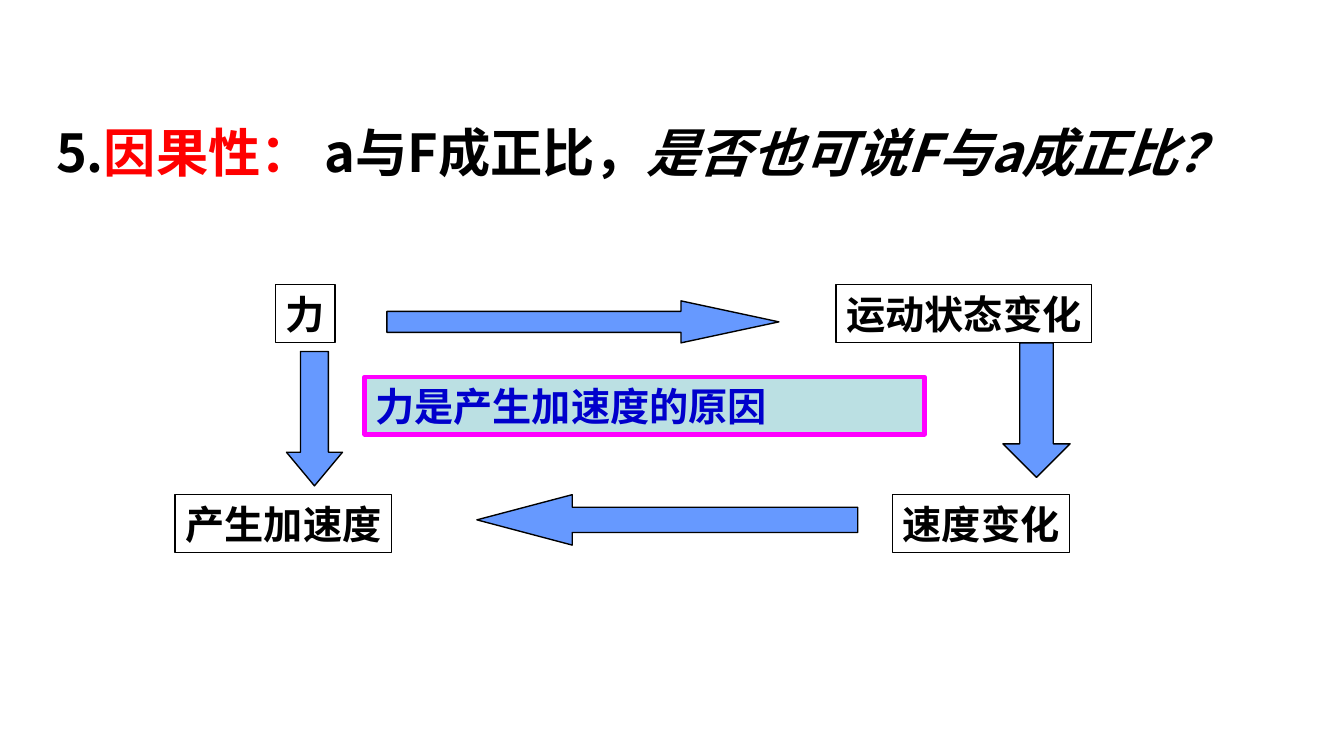
"""Build a slide on the causality between force and acceleration."""
from pptx import Presentation
from pptx.dml.color import RGBColor
from pptx.enum.shapes import MSO_SHAPE
from pptx.enum.text import MSO_ANCHOR, MSO_AUTO_SIZE, PP_ALIGN
from pptx.util import Pt

RECTANGLE = MSO_SHAPE.RECTANGLE
RIGHT, LEFT, DOWN = MSO_SHAPE.RIGHT_ARROW, MSO_SHAPE.LEFT_ARROW, MSO_SHAPE.DOWN_ARROW
TOP, ALIGN_LEFT, GROW = MSO_ANCHOR.TOP, PP_ALIGN.LEFT, MSO_AUTO_SIZE.SHAPE_TO_FIT_TEXT

BLACK = RGBColor(0x00, 0x00, 0x00)
RED = RGBColor(0xFF, 0x00, 0x00)
ARROW_BLUE = RGBColor(0x66, 0x99, 0xFF)
TEXT_BLUE = RGBColor(0x00, 0x00, 0xCC)
PALE_TEAL = RGBColor(0xBB, 0xE0, 0xE3)
MAGENTA = RGBColor(0xFF, 0x00, 0xFF)

SERIF = "Times New Roman"
SANS = "Noto Sans CJK SC"
BOX_HEIGHT = 31
TOP_ROW, BOTTOM_ROW = 152.5, 265

STEPS = [
    ("力", 147.5, TOP_ROW, 32),
    ("运动状态变化", 447.8, TOP_ROW, 137),
    ("速度变化", 478, BOTTOM_ROW, 95),
    ("产生加速度", 93.8, BOTTOM_ROW, 116),
]
ARROWS = [
    (RIGHT, 207.3, 161.2, 210, 22.5, 2.33),
    (DOWN, 537.3, 183.8, 36, 72, 0.5),
    (LEFT, 255.5, 265, 204, 27, 1.89),
    (DOWN, 153.5, 188.3, 30, 72, 0.6),
]
QUESTION = [
    ("5.", BLACK, False),
    ("因果性： ", RED, False),
    ("a与F成正比，", BLACK, False),
    ("是否也可说F与a成正比？", BLACK, True),
]


def add_shape(page, kind, left, top, width, height, fill, line, weight):
    """Add an outlined preset shape, filled unless fill is None."""
    shape = page.shapes.add_shape(kind, Pt(left), Pt(top), Pt(width), Pt(height))
    shape.shadow.inherit = False
    if fill is None:
        shape.fill.background()
    else:
        shape.fill.solid()
        shape.fill.fore_color.rgb = fill
    shape.line.color.rgb = line
    shape.line.width = Pt(weight)
    return shape


def prepare_para(box, font, size, wrap, right_margin):
    """Set up the text frame of a box and return its styled paragraph."""
    frame = box.text_frame
    frame.margin_left = Pt(5.6)
    frame.margin_right = Pt(right_margin)
    frame.margin_top = frame.margin_bottom = Pt(2.8)
    frame.vertical_anchor = TOP
    frame.word_wrap = wrap
    frame.auto_size = GROW
    para = frame.paragraphs[0]
    para.alignment = ALIGN_LEFT
    para.font.name = font
    para.font.size = Pt(size)
    para.font.bold = True
    return para


def add_label(box, text, font, color, wrap):
    """Write one line of bold text in a box."""
    para = prepare_para(box, font, 21, wrap, 2)
    para.font.color.rgb = color
    para.add_run().text = text


def add_step(page, text, left, top, width):
    """Add one outlined step of the cycle."""
    box = add_shape(page, RECTANGLE, left, top, width, BOX_HEIGHT, None, BLACK, 0.75)
    add_label(box, text, SERIF, BLACK, False)


def add_arrow(page, kind, left, top, width, height, head):
    """Add a block arrow with the given head length."""
    arrow = add_shape(page, kind, left, top, width, height, ARROW_BLUE, BLACK, 0.75)
    arrow.adjustments[0] = 0.5
    arrow.adjustments[1] = head


def add_conclusion(page):
    """Add the highlighted statement in the middle of the cycle."""
    box = add_shape(page, RECTANGLE, 195.3, 201.8, 300, BOX_HEIGHT, PALE_TEAL, MAGENTA, 2.25)
    add_label(box, "力是产生加速度的原因", SANS, TEXT_BLUE, True)


def add_question(page):
    """Add the heading question with its coloured and slanted spans."""
    box = page.shapes.add_textbox(Pt(24.5), Pt(65.5), Pt(690), Pt(36))
    para = prepare_para(box, SANS, 28, True, 32)
    para.line_spacing = 0.9
    for text, color, slanted in QUESTION:
        span = para.add_run()
        span.text = text
        span.font.color.rgb = color
        span.font.italic = slanted


def main():
    """Build the deck and save it."""
    deck = Presentation()
    deck.slide_width, deck.slide_height = Pt(720), Pt(405)
    page = deck.slides.add_slide(deck.slide_layouts[6])
    for step in STEPS:
        add_step(page, *step)
    for arrow in ARROWS:
        add_arrow(page, *arrow)
    add_conclusion(page)
    add_question(page)
    deck.save("out.pptx")


if __name__ == "__main__":
    main()
